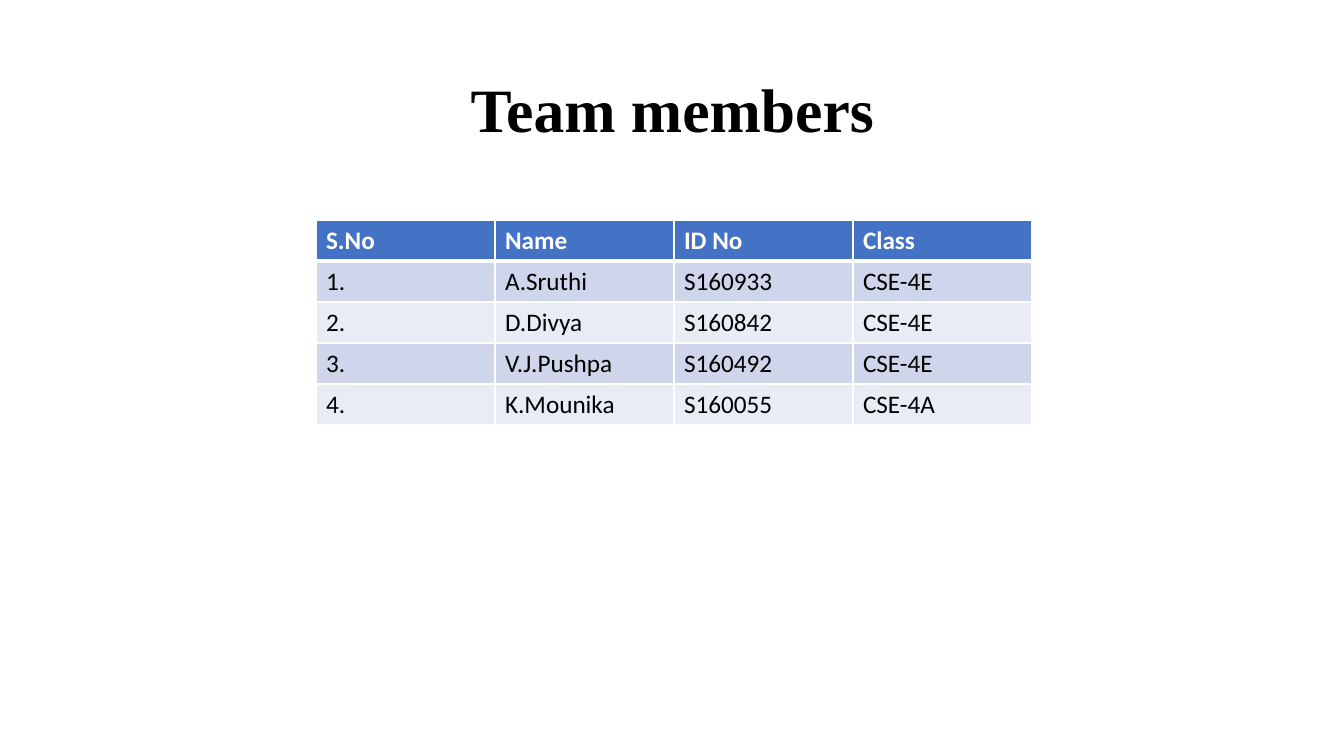
"""Build the team members slide: a centred title above a table."""
from lxml import etree
from pptx import Presentation
from pptx.dml.color import RGBColor
from pptx.enum.text import MSO_ANCHOR, PP_ALIGN
from pptx.oxml.ns import qn
from pptx.util import Pt

TITLE = "Team members"
ROWS = [
    ("S.No", "Name", "ID No", "Class"),
    ("1.", "A.Sruthi", "S160933", "CSE-4E"),
    ("2.", "D.Divya", "S160842", "CSE-4E"),
    ("3.", "V.J.Pushpa", "S160492", "CSE-4E"),
    ("4.", "K.Mounika", "S160055", "CSE-4A"),
]

SLIDE_WIDTH, SLIDE_HEIGHT = 1344, 756
TITLE_BOX = (93, 40, 1159, 146)
TABLE_LEFT, TABLE_TOP = 316, 220
COLUMN_WIDTH, ROW_HEIGHT = 179, 41
EMU_PER_PX = 914400 / 100.8

BLACK = RGBColor(0x00, 0x00, 0x00)
WHITE = RGBColor(0xFF, 0xFF, 0xFF)
HEADER_BLUE = RGBColor(0x44, 0x72, 0xC4)
BANDS = (RGBColor(0xE9, 0xEB, 0xF5), RGBColor(0xCF, 0xD5, 0xEA))
CENTER = PP_ALIGN.CENTER
MIDDLE = MSO_ANCHOR.MIDDLE


def px(length):
    return round(length * EMU_PER_PX)


def format_text(paragraph, font_name, size, color, bold):
    font = paragraph.runs[0].font
    font.name = font_name
    font.size = Pt(size)
    font.color.rgb = color
    font.bold = bold


def add_border(cell, side, points):
    properties = cell._tc.get_or_add_tcPr()
    line = etree.SubElement(properties, qn(f"a:{side}"), w=str(Pt(points)))
    fill = etree.SubElement(line, qn("a:solidFill"))
    etree.SubElement(fill, qn("a:srgbClr"), val=str(WHITE))


def add_title(slide):
    box = slide.shapes.add_textbox(*map(px, TITLE_BOX))
    text_frame = box.text_frame
    text_frame.word_wrap = True
    text_frame.vertical_anchor = MIDDLE
    text_frame.text = TITLE
    paragraph = text_frame.paragraphs[0]
    paragraph.alignment = CENTER
    paragraph.line_spacing = 0.9
    format_text(paragraph, "Times New Roman", 44, BLACK, True)


def add_members_table(slide):
    row_count, column_count = len(ROWS), len(ROWS[0])
    table = slide.shapes.add_table(
        row_count, column_count, px(TABLE_LEFT), px(TABLE_TOP),
        px(COLUMN_WIDTH * column_count), px(ROW_HEIGHT * row_count)).table
    for row_index, values in enumerate(ROWS):
        is_header = row_index == 0
        borders = {"lnL": 1, "lnR": 1, "lnT": 3 if row_index == 1 else 1,
                   "lnB": 3 if is_header else 1}
        for column_index, value in enumerate(values):
            cell = table.cell(row_index, column_index)
            for side, points in borders.items():
                add_border(cell, side, points)
            cell.fill.solid()
            cell.fill.fore_color.rgb = HEADER_BLUE if is_header else BANDS[row_index % 2]
            cell.text_frame.text = value
            format_text(cell.text_frame.paragraphs[0], "Calibri", 18,
                        WHITE if is_header else BLACK, is_header)


def main():
    presentation = Presentation()
    presentation.slide_width = px(SLIDE_WIDTH)
    presentation.slide_height = px(SLIDE_HEIGHT)
    slide = presentation.slides.add_slide(presentation.slide_layouts[6])
    add_title(slide)
    add_members_table(slide)
    presentation.save("out.pptx")


if __name__ == "__main__":
    main()
